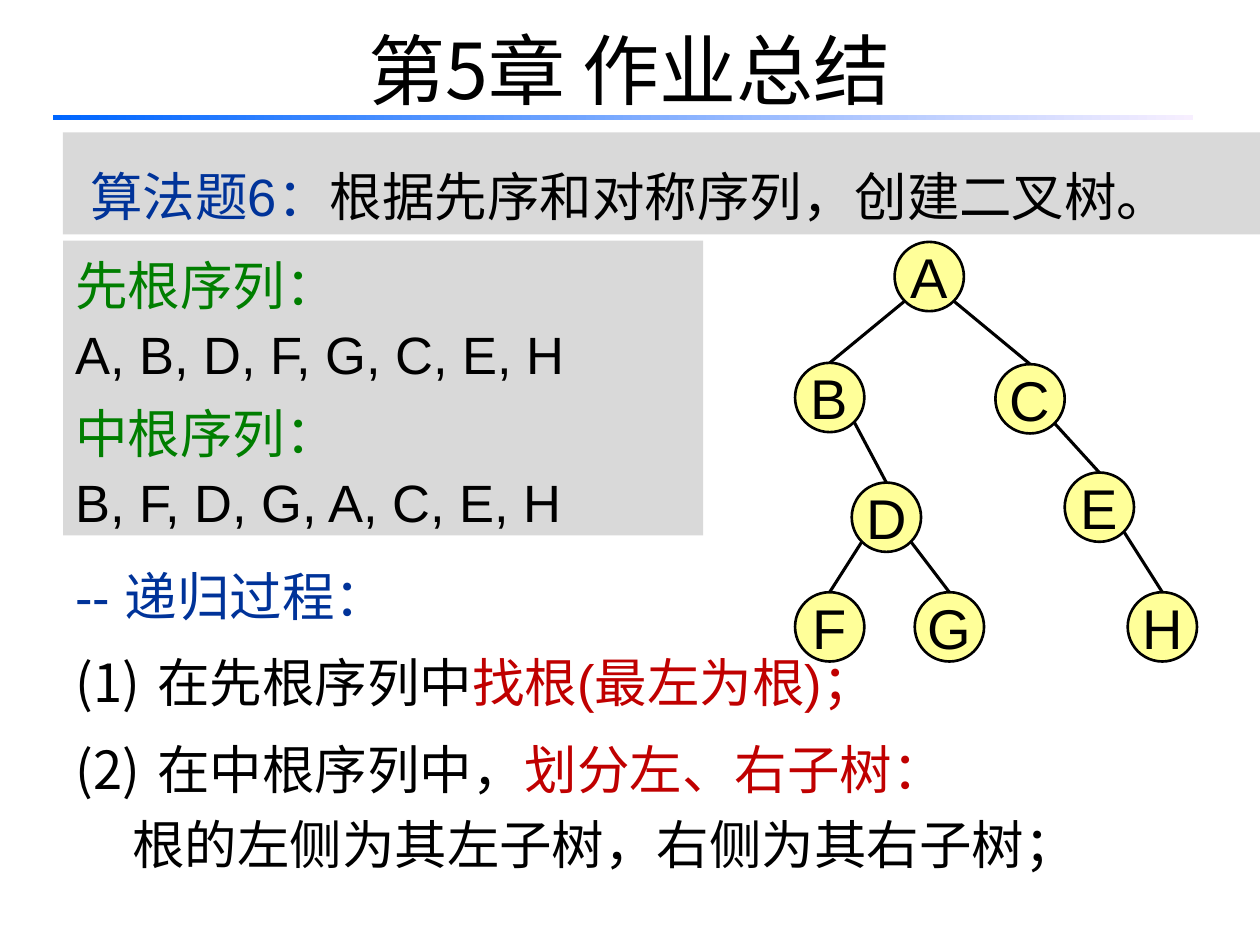
import math

import pptx
import pptx.dml.color
import pptx.enum.shapes
import pptx.enum.text
import pptx.oxml.ns
import pptx.util
from lxml import etree

Inches = pptx.util.Inches
Pt = pptx.util.Pt
PP_ALIGN = pptx.enum.text.PP_ALIGN
MSO_ANCHOR = pptx.enum.text.MSO_ANCHOR
MSO_SHAPE = pptx.enum.shapes.MSO_SHAPE

COLORS = {
    "black": "000000",
    "blue": "003399",
    "green": "007E00",
    "red": "C00000",
    "panel": "D9D9D9",
    "node": "FFFF99",
    "rule_start": "0066FF",
    "rule_end": "F7EFFF",
}
LATIN_FONT = "Arial"
CJK_FONT = "Noto Sans CJK SC"
NODE_SIZE = 0.55

# Node: left, top
NODES = {
    "A": (7.1, 1.92),
    "B": (6.31, 2.88),
    "C": (7.9, 2.89),
    "D": (6.76, 3.83),
    "E": (8.45, 3.75),
    "F": (6.31, 4.7),
    "G": (7.26, 4.7),
    "H": (8.95, 4.7),
}
EDGES = ["AB", "AC", "BD", "CE", "DF", "DG", "EH"]

SEQUENCES = [
    ("先根序列：", "A, B, D, F, G, C, E, H"),
    ("中根序列：", "B, F, D, G, A, C, E, H"),
]


def color(name):
    return pptx.dml.color.RGBColor.from_string(COLORS[name])


def add_xml(parent, tag, **attributes):
    return etree.SubElement(parent, pptx.oxml.ns.qn(tag), **attributes)


def add_span(para, text, size=30, ink="black", font=LATIN_FONT):
    span = para.add_run()
    span.text = text
    span.font.size = Pt(size)
    span.font.name = font
    span.font.color.rgb = color(ink)
    add_xml(span._r.get_or_add_rPr(), "a:ea", typeface=CJK_FONT)


def format_para(para, spacing=1.0, before=0, margin=0, numbered=False):
    para.alignment = PP_ALIGN.LEFT
    para.line_spacing = spacing
    if before:
        para.space_before = Pt(before)
    properties = para._p.get_or_add_pPr()
    properties.set("marL", str(Inches(margin)))
    properties.set("indent", str(-Inches(margin) if numbered else 0))
    if numbered:
        add_xml(properties, "a:buFont", typeface=CJK_FONT)
        add_xml(properties, "a:buAutoNum", type="arabicParenBoth")


class SlideBuilder:
    """Holds the page and draws its elements in one style."""

    def __init__(self, deck):
        self.page = deck.slides.add_slide(deck.slide_layouts[5])

    def title(self, text, left, top, width, height):
        box = self.page.shapes.title
        box.left, box.top = Inches(left), Inches(top)
        box.width, box.height = Inches(width), Inches(height)
        box.text_frame.vertical_anchor = MSO_ANCHOR.MIDDLE
        para = box.text_frame.paragraphs[0]
        para.alignment = PP_ALIGN.CENTER
        add_span(para, text, size=44, font=CJK_FONT)

    def shape(self, kind, left, top, width, height, fill=None):
        shape = self.page.shapes.add_shape(
            kind, Inches(left), Inches(top), Inches(width), Inches(height))
        shape.shadow.inherit = False
        shape.line.fill.background()
        if fill:
            shape.fill.solid()
            shape.fill.fore_color.rgb = color(fill)
        return shape

    def gradient_rule(self, left, top, width, height):
        rule = self.shape(MSO_SHAPE.RECTANGLE, left, top, width, height)
        rule.fill.gradient()
        rule.fill.gradient_angle = 0
        for stop, name in zip(rule.fill.gradient_stops, ("rule_start", "rule_end")):
            stop.color.rgb = color(name)

    def fill_text(self, box, paras):
        """Fill a box with (spans, paragraph format) pairs."""
        frame = box.text_frame
        frame.word_wrap = True
        frame.vertical_anchor = MSO_ANCHOR.TOP
        for index, (spans, style) in enumerate(paras):
            para = frame.add_paragraph() if index else frame.paragraphs[0]
            format_para(para, **style)
            for text, ink in spans:
                add_span(para, text, ink=ink)

    def panel(self, left, top, width, height, paras):
        box = self.shape(MSO_SHAPE.RECTANGLE, left, top, width, height, "panel")
        self.fill_text(box, paras)

    def text(self, left, top, width, height, paras):
        box = self.page.shapes.add_textbox(
            Inches(left), Inches(top), Inches(width), Inches(height))
        self.fill_text(box, paras)

    def node(self, label, left, top):
        node = self.shape(MSO_SHAPE.OVAL, left, top, NODE_SIZE, NODE_SIZE, "node")
        node.line.color.rgb = color("black")
        node.line.width = Pt(1.5)
        frame = node.text_frame
        frame.word_wrap = False
        frame.vertical_anchor = MSO_ANCHOR.MIDDLE
        frame.paragraphs[0].alignment = PP_ALIGN.CENTER
        add_span(frame.paragraphs[0], label, size=32)
        return node

    def edge(self, parent, child):
        """Join the parent's lower diagonal to the top of the child."""
        radius = parent.width / 2
        reach = radius * math.sqrt(0.5)
        side = 1 if child.left > parent.left else -1
        start_x = int(parent.left + radius + side * reach)
        start_y = int(parent.top + radius + reach)
        line = self.page.shapes.add_connector(
            pptx.enum.shapes.MSO_CONNECTOR.STRAIGHT,
            start_x, start_y, child.left + child.width // 2, child.top)
        line.end_connect(child, 0)
        line.line.color.rgb = color("black")
        line.line.width = Pt(1.75)
        add_xml(line._element.spPr, "a:effectLst")


def main():
    deck = pptx.Presentation()
    deck.slide_width, deck.slide_height = Inches(10), Inches(7.5)
    slide = SlideBuilder(deck)

    slide.title("第5章 作业总结", 0.5, -0.08, 9, 1.25)
    slide.gradient_rule(0.42, 0.91, 9.05, 0.04)
    slide.panel(0.5, 1.05, 9.5, 0.81, [
        ([("算法题6：", "blue"), ("根据先序和对称序列，创建二叉树。", "black")],
         {"spacing": 1.4, "margin": 0.12}),
    ])

    panel_height = 1.17
    for index, (name, letters) in enumerate(SEQUENCES):
        slide.panel(0.5, 1.91 + index * panel_height, 5.08, panel_height, [
            ([(name, "green")], {"spacing": 1.1}),
            ([(letters, "black")], {"spacing": 1.1}),
        ])

    step = {"spacing": 1.2, "before": 6, "margin": 0.65, "numbered": True}
    slide.text(0.5, 4.33, 8.92, 2.69, [
        ([("-- 递归过程：", "blue")], {"spacing": 1.2}),
        ([("在先根序列中", "black"), ("找根(最左为根)；", "red")], step),
        ([("在中根序列中，", "black"), ("划分左、右子树：", "red")], step),
        ([("根的左侧为其左子树，右侧为其右子树；", "black")],
         {"spacing": 1.2, "margin": 0.45}),
    ])

    nodes = {label: slide.node(label, *place) for label, place in NODES.items()}
    for parent, child in EDGES:
        slide.edge(nodes[parent], nodes[child])

    deck.save("out.pptx")


if __name__ == "__main__":
    main()
